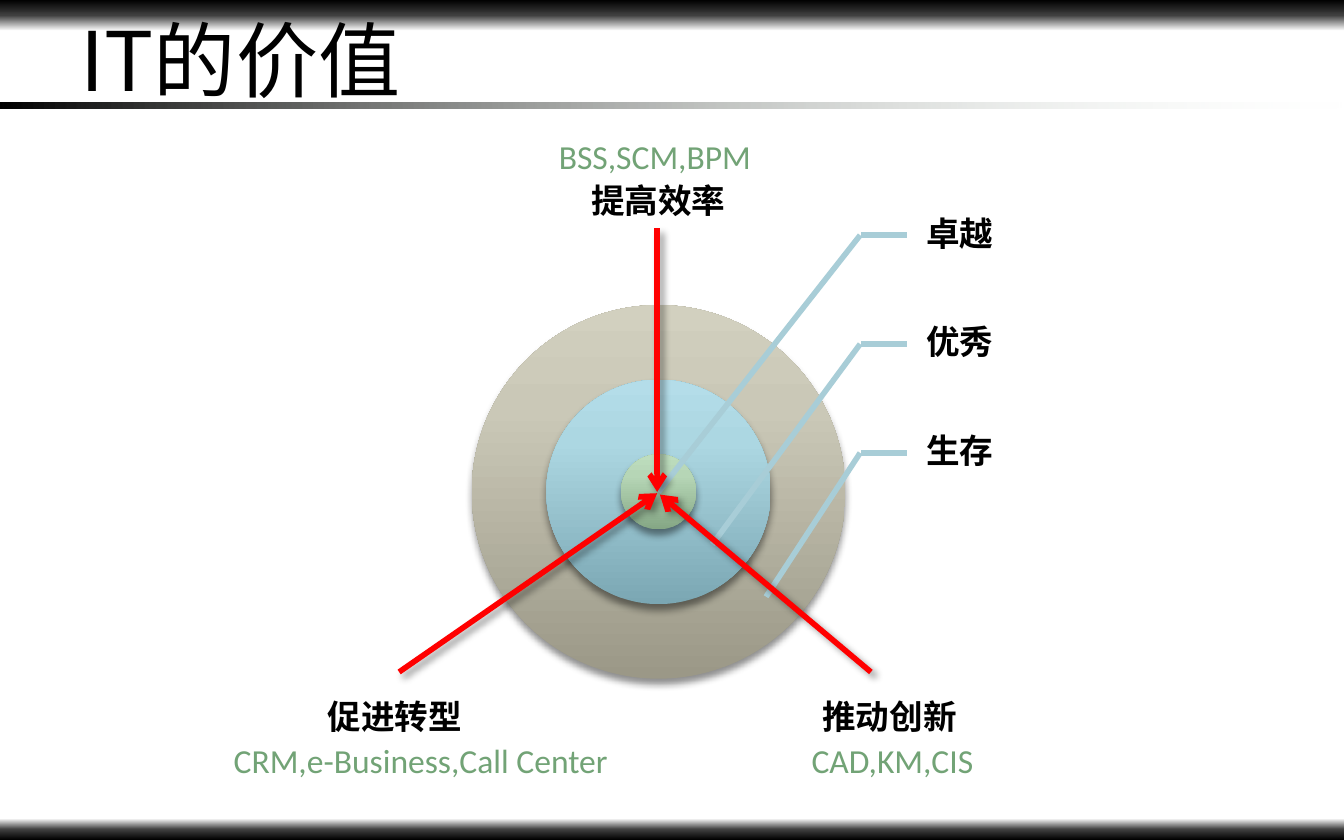
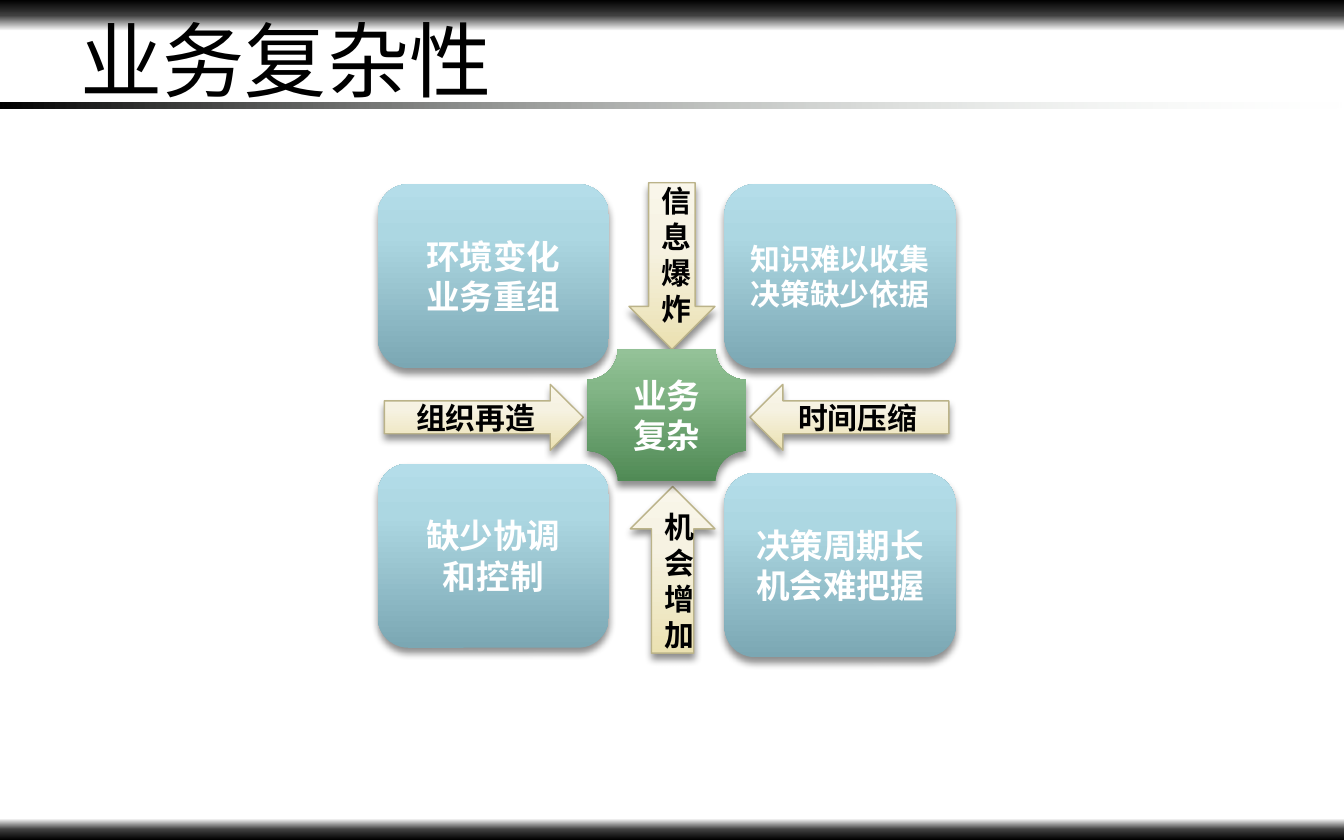
import pptx
import pptx.util
import pptx.dml.color
import pptx.enum.shapes
import pptx.enum.text
import pptx.oxml.ns
from lxml import etree

COLS, ROWS = 100, 62.5
FONT, HAN = "Calibri", "Noto Sans CJK SC"
INK = {
    "black": "000000", "grey": "404040", "white": "FFFFFF", "mist": "E6EFE7",
    "red": "FF0000", "green": "72A376", "blue": "A8CDD7", "edge": "BBB389",
}
# Gradient stops: place in percent, colour, and opacity if not full
FADES = {
    "band": [(0, INK["black"]), (50, INK["grey"]), (100, INK["white"])],
    "rule": [(0, INK["black"]), (100, INK["mist"], 0)],
    "stone": [(0, "9B9887"), (72, "CAC8B7"), (100, "D2D0BF")],
    "sky": [(0, "7BA7B3"), (72, "ACD7E2"), (100, "B4DDE9")],
    "sage": [(0, "85A785"), (72, "B6D6B6"), (100, "BEDDBE")],
    "leaf": [(0, "508A55"), (72, "83B687"), (100, "94C298")],
    "sand": [(0, "EBE1B1"), (62, "F6F2E2"), (100, "F9F6EA")],
}
KIND = pptx.enum.shapes.MSO_SHAPE
ALIGN = pptx.enum.text.PP_ALIGN
MID = pptx.enum.text.MSO_ANCHOR.MIDDLE
FIT = pptx.enum.text.MSO_AUTO_SIZE


def node(base, tag, **marks):
    item = etree.SubElement(base, pptx.oxml.ns.qn("a:" + tag))
    for name, mark in marks.items():
        item.set(name, str(mark))
    return item


def tint(base, code, part=100):
    color = node(base, "srgbClr", val=code)
    if part < 100:
        node(color, "alpha", val=part * 1000)


class Deck:
    def __init__(self):
        self.show = pptx.Presentation()
        self.show.slide_width = pptx.util.Inches(10)
        self.show.slide_height = pptx.util.Inches(6.25)
        self.form = self.show.slide_layouts[5]
        self.slide = None

    def wide(self, cols):
        return round(self.show.slide_width * cols / COLS)

    def high(self, rows):
        return round(self.show.slide_height * rows / ROWS)

    def box(self, x, y, w, h):
        return self.wide(x), self.high(y), self.wide(w), self.high(h)

    def page(self, title):
        first = self.slide is None
        self.slide = self.show.slides.add_slide(self.form)
        if first:
            self.frame()
        head = self.slide.shapes.title
        head.left, head.top, head.width, head.height = self.box(5, 1.7, 90, 5.3)
        text = head.text_frame
        text.auto_size, text.vertical_anchor = FIT.NONE, MID
        self.words(text, [title], 44, "black", False, ALIGN.LEFT, HAN)

    def frame(self):
        # Bands are drawn once, then moved to the layout
        bands = [(0, 2.3, "band", 90), (60.9, 1.6, "band", 270), (7.6, 0.5, "rule", 0)]
        for y, h, fade, turn in bands:
            band = self.shape(KIND.RECTANGLE, (0, y, COLS, h), fade, turn, cast=False)
            self.form.shapes.element.insert(2, band.element)

    def words(self, text, lines, size, color, bold=True, align=None, font=FONT):
        for i, line in enumerate(lines):
            para = text.add_paragraph() if i else text.paragraphs[0]
            para.alignment = align
            run = para.add_run()
            run.text = line
            run.font.size = pptx.util.Pt(size)
            run.font.bold = bold
            run.font.name = font
            run.font.color.rgb = pptx.dml.color.RGBColor.from_string(INK[color])
            node(run.font._element, "ea", typeface=HAN)

    def shade(self, item, turn=90, part=43, cast=True):
        effect = node(item.element.spPr, "effectLst")
        if cast:
            drop = node(effect, "outerShdw", blurRad=pptx.util.Pt(4),
                        dist=pptx.util.Pt(3), dir=turn * 60000, rotWithShape=0)
            tint(drop, INK["black"], part)

    def shape(self, kind, area, fade, turn=270, edge=None, cast=True):
        item = self.slide.shapes.add_shape(kind, *self.box(*area))
        item.fill.gradient()
        fill = item.element.spPr.find(pptx.oxml.ns.qn("a:gradFill"))
        for part in list(fill):
            fill.remove(part)
        stops = node(fill, "gsLst")
        for place, *color in FADES[fade]:
            tint(node(stops, "gs", pos=place * 1000), *color)
        node(fill, "lin", ang=turn * 60000, scaled=0)
        if edge:
            self.stroke(item.line, edge, 0.75)
        else:
            item.line.fill.background()
        self.shade(item, cast=cast)
        return item

    def block(self, kind, area, fade, lines, size=18, color="white", edge=None):
        item = self.shape(kind, area, fade, edge=edge)
        item.text_frame.word_wrap = True
        item.text_frame.vertical_anchor = MID
        self.words(item.text_frame, lines, size, color, align=ALIGN.CENTER)
        return item

    def stroke(self, line, color, width):
        line.color.rgb = pptx.dml.color.RGBColor.from_string(INK[color])
        line.width = pptx.util.Pt(width)

    def line(self, start, end, color, arrow=False):
        item = self.slide.shapes.add_connector(
            pptx.enum.shapes.MSO_CONNECTOR.STRAIGHT,
            self.wide(start[0]), self.high(start[1]),
            self.wide(end[0]), self.high(end[1]))
        self.stroke(item.line, color, 3)
        if arrow:
            node(item.element.spPr.find(pptx.oxml.ns.qn("a:ln")), "tailEnd", type="arrow")
        self.shade(item, 45, 40, cast=arrow)

    def label(self, area, words, color="black", bold=True):
        text = self.slide.shapes.add_textbox(*self.box(*area)).text_frame
        text.word_wrap = False
        text.auto_size = FIT.SHAPE_TO_FIT_TEXT
        self.words(text, [words], 18, color, bold)

    def level(self, area, words):
        text = self.slide.shapes.add_textbox(*self.box(*area)).text_frame
        text.word_wrap, text.vertical_anchor = True, MID
        text.margin_left = self.wide(1.4)
        text.margin_right = self.wide(0.3)
        text.margin_top = text.margin_bottom = self.high(0.3)
        self.words(text, [words], 18, "black")
        text.paragraphs[0].line_spacing = 0.9


def value(deck):
    deck.page("IT的价值")
    # Target rings
    mid, core = 49, 36.6
    for size, fade in [(27.8, "stone"), (16.7, "sky"), (5.6, "sage")]:
        area = (mid - size / 2, core - size / 2, size, size)
        deck.shape(KIND.OVAL, area, fade)
    # Levels with their leaders
    step = 8.1
    for i, words in enumerate(["卓越", "优秀", "生存"]):
        y = 17.5 + i * step
        deck.level((67.5, y - step / 2, 13.9, step), words)
        deck.line((64.1, y), (67.5, y), "blue")
        deck.line((64, y), (mid + 4 * i, core + 3.9 * i), "blue")
    # Arrows to the core
    for start, end in [((48.9, 17), (48.9, 36.6)), ((29.7, 50), (48.9, 36.7)),
                       ((64.8, 50), (49.1, 36.8))]:
        deck.line(start, end, "red", arrow=True)
    # Goals and the systems behind them
    for x, y, words in [(23.4, 51.3, "促进转型"), (43, 12.9, "提高效率"),
                        (60.2, 51.3, "推动创新")]:
        deck.label((x, y, 12.2, 4), words)
    for x, y, w, words in [(16.4, 54.6, 30.2, "CRM,e-Business,Call Center"),
                           (59.4, 54.6, 14.2, "CAD,KM,CIS"),
                           (40.6, 9.6, 16.4, "BSS,SCM,BPM")]:
        deck.label((x, y, w, 4), words, "green", False)


def tangle(deck):
    deck.page("业务复杂性")
    # Corner cards
    left, right = 28.1, 53.9
    for x, y, size, lines in [
            (left, 13.7, 18, ["环境变化", "业务重组"]),
            (right, 13.7, 16, ["知识难以收集", "决策缺少依据"]),
            (left, 34.5, 18, ["缺少协调", "和控制"]),
            (right, 35.2, 18, ["决策周期长", "机会难把握"])]:
        deck.block(KIND.ROUNDED_RECTANGLE, (x, y, 17.2, 13.7), "sky", lines, size)
    # Pressures from four sides
    for kind, area, words, waist in [
            (KIND.DOWN_ARROW, (46.8, 13.6, 6.4, 12.4), "信息爆炸", 0.54),
            (KIND.RIGHT_ARROW, (28.6, 28.6, 14.8, 4.9), "组织再造", 0.5),
            (KIND.UP_ARROW, (46.9, 36.2, 6.3, 12.4), "机会增加", 0.5),
            (KIND.LEFT_ARROW, (55.8, 28.6, 14.8, 4.9), "时间压缩", 0.5)]:
        arrow = deck.block(kind, area, "sand", [words], 16, "black", "edge")
        arrow.adjustments[0] = waist
    # Centre
    core = deck.block(KIND.PLAQUE, (43.7, 26, 11.8, 9.8), "leaf", ["业务", "复杂"])
    core.adjustments[0] = 0.23


def main():
    deck = Deck()
    value(deck)
    tangle(deck)
    deck.show.save("out.pptx")


if __name__ == "__main__":
    main()
